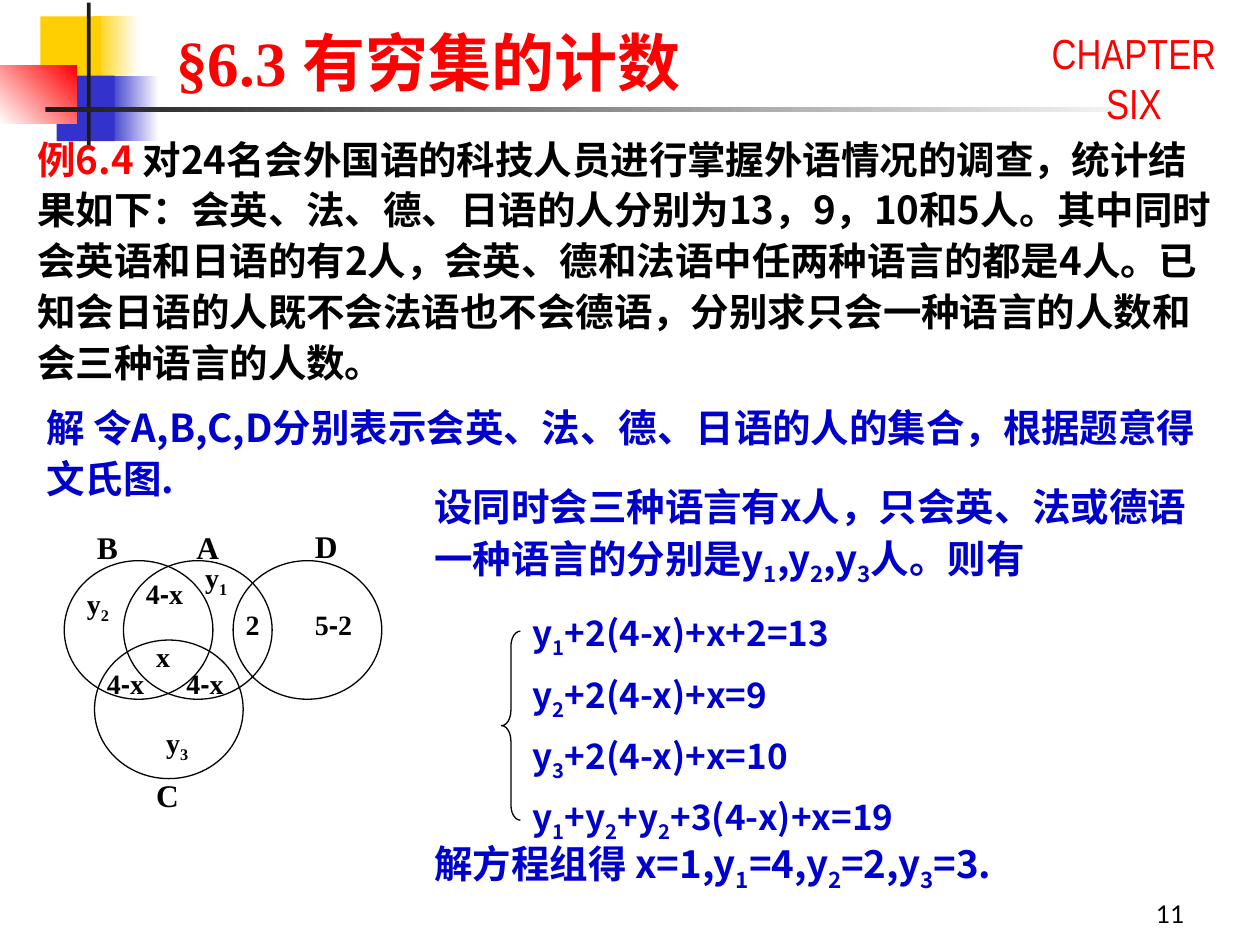
"""Builds the slide on counting finite sets."""
from pptx import Presentation
from pptx.dml.color import RGBColor
from pptx.enum.shapes import MSO_SHAPE
from pptx.enum.text import MSO_ANCHOR, MSO_AUTO_SIZE, PP_ALIGN
from pptx.oxml import parse_xml
from pptx.util import Inches, Pt

HUES = {"gold": "FFCF01", "navy": "3333CC", "red": "FF0000", "blue": "0000CC",
        "dark": "1C1C1C", "black": "000000", "white": "FFFFFF"}
SANS, SERIF = "Noto Sans CJK SC", "Times New Roman"
NS = "http://schemas.openxmlformats.org/drawingml/2006/main"


def hue(name):
    return RGBColor.from_string(HUES[name])


class Page:
    """Holds the style and the current slide."""

    def __init__(self, deck):
        self.slide = deck.slides.add_slide(deck.slide_layouts[5])
        self.shapes = self.slide.shapes

    def shape(self, kind, box, fill=None, end=None, angle=0, line=None):
        item = self.shapes.add_shape(kind, *map(Inches, box))
        item.shadow.inherit = False
        if end:
            item.fill.gradient()
            item.fill.gradient_angle = angle
            for stop, name in zip(item.fill.gradient_stops, (fill, end)):
                stop.color.rgb = hue(name)
        elif fill:
            item.fill.solid()
            item.fill.fore_color.rgb = hue(fill)
        else:
            item.fill.background()
        if line:
            item.line.color.rgb = hue(line)
            item.line.width = Pt(0.75)
        else:
            item.line.fill.background()
        return item

    def block(self, color, box, end=None, angle=0):
        return self.shape(MSO_SHAPE.RECTANGLE, box, color, end, angle)

    def ring(self, left, top):
        return self.shape(MSO_SHAPE.OVAL, (left, top, 1.18, 1.1), line="black")

    def brace(self, box):
        item = self.shape(MSO_SHAPE.LEFT_BRACE, box, line="black")
        item.adjustments[0] = 0.8

    def run(self, par, text, size, font, color, bold):
        """Adds a run; a leading _ lowers it and a leading * makes it red."""
        run = par.add_run()
        run.text = text.lstrip("_*")
        run.font.size = Pt(size)
        run.font.bold = bold
        run.font.name = "Arial" if text == "-" else font
        run.font.color.rgb = hue("red" if text[0] == "*" else color)
        props = run.font._element
        if text[0] == "_":
            props.set("baseline", "-25000")
        props.append(parse_xml(f'<a:ea xmlns:a="{NS}" typeface="{SANS}"/>'))

    def fill(self, item, lines, size, font, color, bold=True,
             align=PP_ALIGN.LEFT, anchor=MSO_ANCHOR.TOP, ratio=None, gap=0):
        """Writes lines whose runs are parted by a bar."""
        frame = item.text_frame
        frame.word_wrap = True
        frame.auto_size = MSO_AUTO_SIZE.NONE
        frame.vertical_anchor = anchor
        for num, line in enumerate(lines):
            par = frame.add_paragraph() if num else frame.paragraphs[0]
            par.alignment = align
            if ratio:
                par.line_spacing = ratio
            if num:
                par.space_before = Pt(gap)
            for text in filter(None, line.split("|")):
                self.run(par, text, size, font, color, bold)

    def title(self, text, box):
        item = self.shapes.title
        item.left, item.top, item.width, item.height = map(Inches, box)
        self.fill(item, [text], 36, SERIF, "red")

    def text(self, box, lines, size, font, color, **style):
        item = self.shapes.add_textbox(*map(Inches, box))
        self.fill(item, lines, size, font, color, **style)

    def body(self, box, *lines, size=22, color="blue", gap=0):
        self.text(box, lines, size, SANS, color, ratio=1.1, gap=gap)

    def label(self, left, top, text, size=16):
        width = 0.39 if size == 18 else 0.55
        self.text((left, top, width, 0.4), [text], size, SERIF, "black")


def main():
    deck = Presentation()
    deck.slide_width, deck.slide_height = Inches(10), Inches(7.5)
    page = Page(deck)

    page.block("gold", (0.74, 0.13, 0.36, 0.52), "white")
    page.block("navy", (0.86, 0.6, 0.4, 0.52), "white")
    page.block("gold", (0.32, 0.13, 0.48, 0.52))
    page.block("navy", (0.45, 0.6, 0.46, 0.52))
    page.block("white", (0, 0.52, 0.61, 0.46), "red", 45)
    page.block("dark", (0.69, 0.02, 0.03, 1.15))
    page.block("dark", (0.36, 0.85, 9, 0.04), "white")

    page.title("§6.3 有穷集的计数", (1.3, 0.14, 6.22, 0.7))
    page.text((8.1, 0.17, 1.8, 0.9), ["CHAPTER SIX"], 24, "Arial Narrow", "red",
              bold=False, align=PP_ALIGN.CENTER)
    page.text((7.42, 6.92, 2.08, 0.5), ["11"], 14, "Lato", "black",
              bold=False, align=PP_ALIGN.RIGHT, anchor=MSO_ANCHOR.BOTTOM)

    page.body((0.2, 0.99, 9.53, 2.05),
              "*例6.4 |对24名会外国语的科技人员进行掌握外语情况的调查，"
              "统计结果如下：会英、法、德、日语的人分别为13，9，10和5人。"
              "其中同时会英语和日语的有2人，会英、德和法语中任两种语言的都是4人。"
              "已知会日语的人既不会法语也不会德语，"
              "分别求只会一种语言的人数和会三种语言的人数。", color="black")
    page.body((0.27, 3.12, 9.53, 1.1),
              "解 令A,B,C,D分别表示会英、法、德、日语的人的集合，根据题意得文氏图.")
    page.body((3.35, 3.75, 6.46, 1.02),
              "设同时会三种语言有x人，只会英、法或德语一种语言的分别是"
              "y|_1|,y|_2|,y|_3|人。则有")
    page.brace((3.98, 5.01, 0.15, 1.5))
    page.body((4.13, 4.77, 3.78, 1.73),
              "y|_1|+2(4-x)+x+2=13", "y|_2|+2(4-x)+x=9", "y|_3|+2(4-x)+x=10",
              "y|_1|+y|_2|+y|_2|+3(4-x)+x=19", size=20, gap=5)
    page.body((3.35, 6.58, 6.22, 0.71),
              "解方程组得 x=1,y|_1|=4,y|_2|=2,y|_3|=3.")

    for left, top in ((0.51, 4.45), (0.98, 4.45), (1.85, 4.45), (0.75, 5.08)):
        page.ring(left, top)
    for left, top, name in ((1.46, 4.14, "A"), (2.4, 4.13, "D"),
                            (0.67, 4.14, "B"), (1.14, 6.11, "C")):
        page.label(left, top, name, 18)
    for left, top, part in ((1.53, 4.4, "y|_1"), (2.4, 4.77, "5|-|2"),
                            (1.85, 4.77, "2"), (1.22, 5.71, "y|_3"),
                            (1.14, 5.03, "x"), (0.75, 5.24, "4|-|x"),
                            (0.59, 4.61, "y|_2"), (1.38, 5.24, "4|-|x"),
                            (1.06, 4.53, "4|-|x")):
        page.label(left, top, part)

    deck.save("out.pptx")


if __name__ == "__main__":
    main()
